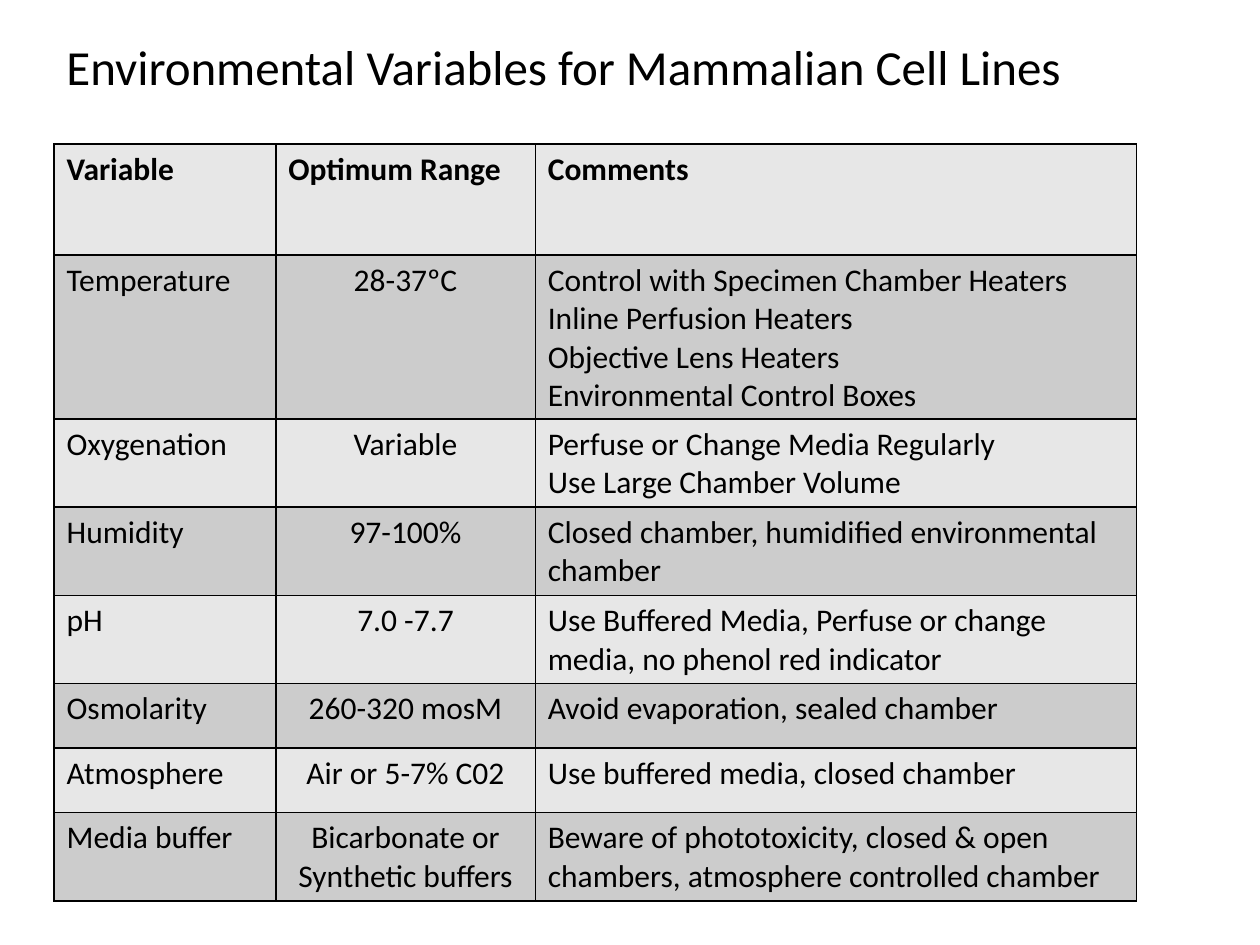
"""Build a slide tabulating environmental variables for mammalian cell lines."""
from dataclasses import dataclass

from lxml import etree
from pptx import Presentation
from pptx.dml.color import RGBColor
from pptx.enum.text import MSO_AUTO_SIZE, PP_ALIGN
from pptx.oxml.ns import qn
from pptx.slide import Slide
from pptx.table import _Cell
from pptx.text.text import _Paragraph
from pptx.util import Cm, Pt

LEFT, CENTER = PP_ALIGN.LEFT, PP_ALIGN.CENTER
GROW = MSO_AUTO_SIZE.SHAPE_TO_FIT_TEXT


@dataclass(frozen=True)
class Theme:
    font: str = "Calibri"
    ink: str = "000000"
    bands: tuple[str, str] = ("E7E7E7", "CCCCCC")
    title_pt: int = 28
    cell_pt: int = 18
    border_pt: int = 1


@dataclass(frozen=True)
class Variable:
    name: str
    optimum: str
    comments: tuple[str, ...]


THEME = Theme()
MARGIN = Cm(1.09)
COLUMN_WIDTHS = (Cm(4.47), Cm(5.23), Cm(12.12))
HEADER_HEIGHT, ROW_HEIGHT = Cm(2.24), Cm(1.3)
ROWS = (
    Variable("Variable", "Optimum Range", ("Comments",)),
    Variable("Temperature", "28-37ºC", (
        "Control with Specimen Chamber Heaters",
        "Inline Perfusion Heaters",
        "Objective Lens Heaters",
        "Environmental Control Boxes",
    )),
    Variable("Oxygenation", "Variable", (
        "Perfuse or Change Media Regularly",
        "Use Large Chamber Volume",
    )),
    Variable("Humidity", "97-100%",
             ("Closed chamber, humidified environmental chamber",)),
    Variable("pH", "7.0 -7.7",
             ("Use Buffered Media, Perfuse or change media, no phenol red indicator",)),
    Variable("Osmolarity", "260-320 mosM", ("Avoid evaporation, sealed chamber",)),
    Variable("Atmosphere", "Air or 5-7% C02", ("Use buffered media, closed chamber",)),
    Variable("Media buffer", "Bicarbonate or Synthetic buffers",
             ("Beware of phototoxicity, closed & open chambers, atmosphere controlled chamber",)),
)


def add_run(p: _Paragraph, text: str, size: int, bold: bool = False) -> None:
    r = p.add_run()
    r.text = text
    r.font.name = THEME.font
    r.font.size = Pt(size)
    r.font.bold = bold
    r.font.color.rgb = RGBColor.from_string(THEME.ink)


def add_borders(cell: _Cell) -> None:
    tc_pr = cell._tc.get_or_add_tcPr()
    for i, side in enumerate(("lnL", "lnR", "lnT", "lnB")):
        ln = etree.Element(qn(f"a:{side}"), w=str(Pt(THEME.border_pt)))
        fill = etree.SubElement(ln, qn("a:solidFill"))
        etree.SubElement(fill, qn("a:srgbClr"), val=THEME.ink)
        tc_pr.insert(i, ln)


def fill_cell(cell: _Cell, lines: tuple[str, ...], color: str,
              align: PP_ALIGN, bold: bool) -> None:
    cell.fill.solid()
    cell.fill.fore_color.rgb = RGBColor.from_string(color)
    add_borders(cell)
    tf = cell.text_frame
    for i, line in enumerate(lines):
        p = tf.add_paragraph() if i else tf.paragraphs[0]
        p.alignment = align
        add_run(p, line, THEME.cell_pt, bold)


def add_title(s: Slide, text: str) -> None:
    sp = s.shapes.add_textbox(MARGIN, Cm(0.61), Cm(20.9), Cm(1.45))
    tf = sp.text_frame
    tf.word_wrap = False
    tf.auto_size = GROW
    add_run(tf.paragraphs[0], text, THEME.title_pt)


def add_variables(s: Slide, rows: tuple[Variable, ...]) -> None:
    height = HEADER_HEIGHT + ROW_HEIGHT * (len(rows) - 1)
    table = s.shapes.add_table(len(rows), len(COLUMN_WIDTHS), MARGIN, Cm(2.9),
                               sum(COLUMN_WIDTHS), height).table
    for column, width in zip(table.columns, COLUMN_WIDTHS):
        column.width = width
    for i, row in enumerate(rows):
        header = i == 0
        table.rows[i].height = HEADER_HEIGHT if header else ROW_HEIGHT
        columns = ((row.name,), (row.optimum,), row.comments)
        for j, lines in enumerate(columns):
            align = CENTER if j == 1 and not header else LEFT
            fill_cell(table.cell(i, j), lines, THEME.bands[i % 2], align, header)


def main() -> None:
    prs = Presentation()
    prs.slide_width, prs.slide_height = Cm(25.4), Cm(19.05)
    s = prs.slides.add_slide(prs.slide_layouts[6])
    add_title(s, "Environmental Variables for Mammalian Cell Lines")
    add_variables(s, ROWS)
    prs.save("out.pptx")


if __name__ == "__main__":
    main()
